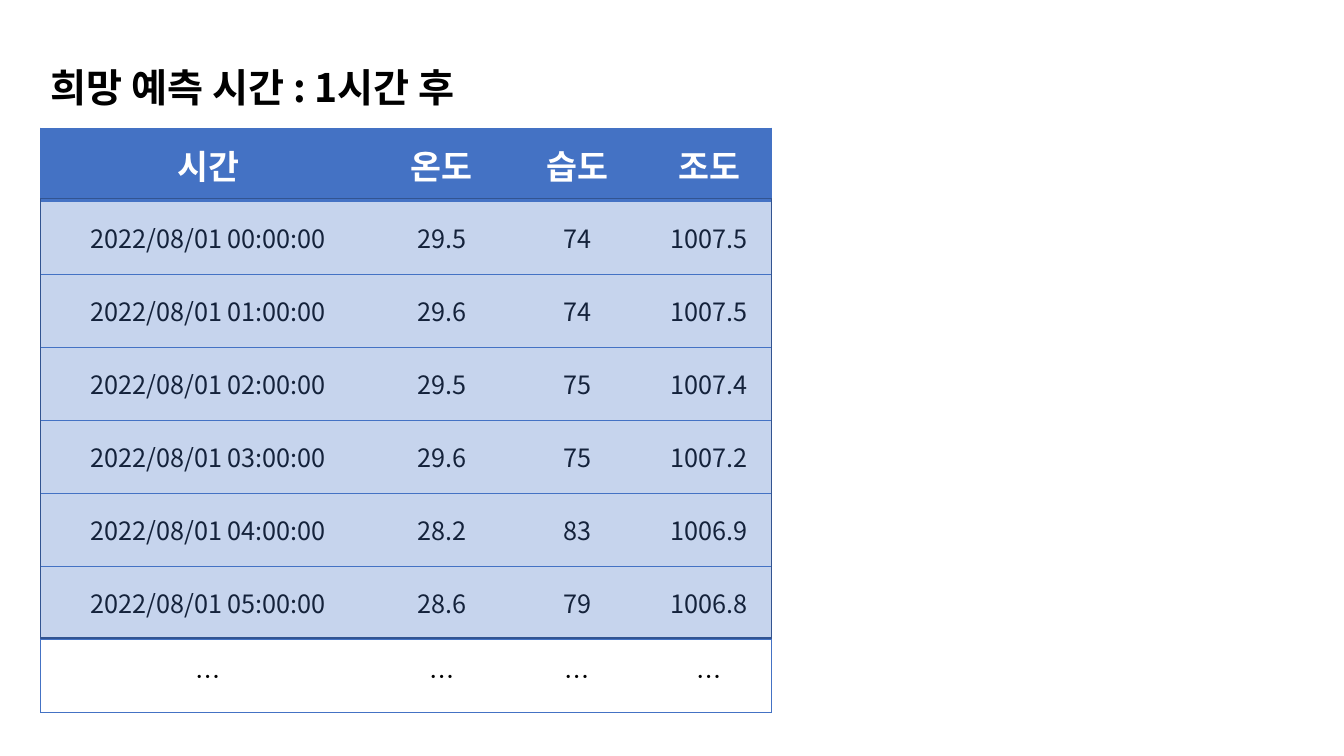
from dataclasses import dataclass

from pptx import Presentation
from pptx.dml.color import RGBColor
from pptx.enum.shapes import MSO_SHAPE
from pptx.enum.text import MSO_ANCHOR, PP_ALIGN
from pptx.oxml.ns import qn
from pptx.util import Pt
from lxml.etree import SubElement

PX = 9144  # 100 px to the inch


@dataclass(frozen=True)
class Theme:
    font: str = "Noto Sans CJK KR"
    blue: str = "4472C4"
    dark_blue: str = "325491"
    black: str = "000000"
    white: str = "FFFFFF"
    title_size: int = 28
    header_size: int = 24
    body_size: int = 18


theme = Theme()


def style_text(frame, size, color, bold, align):
    frame.vertical_anchor = MSO_ANCHOR.MIDDLE
    para = frame.paragraphs[0]
    para.alignment = align
    for span in para.runs:
        font = span.font
        font.name, font.size, font.bold = theme.font, Pt(size), bold
        font.color.rgb = RGBColor.from_string(color)
        SubElement(font._element, qn("a:ea"), typeface=theme.font)


def add_border(cell, side, visible):
    line = SubElement(cell._tc.get_or_add_tcPr(), qn(f"a:ln{side}"), w=str(Pt(0.5)))
    if visible:
        fill = SubElement(line, qn("a:solidFill"))
        SubElement(fill, qn("a:srgbClr"), val=theme.blue)
    else:
        SubElement(line, qn("a:noFill"))


deck = Presentation()
deck.slide_width, deck.slide_height = 1333 * PX, 750 * PX
page = deck.slides.add_slide(deck.slide_layouts[5])

title = page.shapes.title
title.left, title.top, title.width, title.height = 40 * PX, 58 * PX, 476 * PX, 57 * PX
title.text_frame.text = "희망 예측 시간 : 1시간 후"
title.text_frame.word_wrap = True
style_text(title.text_frame, theme.title_size, theme.black, True, PP_ALIGN.LEFT)

readings = [
    ("29.5", "74", "1007.5"),
    ("29.6", "74", "1007.5"),
    ("29.5", "75", "1007.4"),
    ("29.6", "75", "1007.2"),
    ("28.2", "83", "1006.9"),
    ("28.6", "79", "1006.8"),
]
rows = [("시간", "온도", "습도", "조도")]
rows += [(f"2022/08/01 {hour:02}:00:00", *values) for hour, values in enumerate(readings)]
rows.append(("…",) * 4)
column_widths = [333, 130, 139, 123]
last_column = len(column_widths) - 1

table = page.shapes.add_table(
    len(rows), len(column_widths), 40 * PX, 127 * PX, 725 * PX, 580 * PX
).table
table.horz_banding = False
for column, width in zip(table.columns, column_widths):
    column.width = width * PX

for row_index, row in enumerate(rows):
    is_header = row_index == 0
    for column_index, text in enumerate(row):
        cell = table.cell(row_index, column_index)
        cell.text = text
        add_border(cell, "L", column_index == 0)
        add_border(cell, "R", column_index == last_column)
        add_border(cell, "T", True)
        add_border(cell, "B", True)
        if is_header:
            cell.fill.solid()
            cell.fill.fore_color.rgb = RGBColor.from_string(theme.blue)
            style_text(cell.text_frame, theme.header_size, theme.white, True, PP_ALIGN.CENTER)
        else:
            cell.fill.background()
            style_text(cell.text_frame, theme.body_size, theme.black, False, PP_ALIGN.CENTER)
        cell.vertical_anchor = MSO_ANCHOR.MIDDLE

highlight = page.shapes.add_shape(
    MSO_SHAPE.RECTANGLE, 40 * PX, 197 * PX, 725 * PX, 436 * PX
)
highlight.shadow.inherit = False
highlight.fill.solid()
highlight.fill.fore_color.rgb = RGBColor.from_string(theme.blue)
tint = highlight.fill._xPr.find(qn("a:solidFill")).find(qn("a:srgbClr"))
SubElement(tint, qn("a:alpha"), val="30000")
highlight.line.color.rgb = RGBColor.from_string(theme.dark_blue)
highlight.line.width = Pt(1)

deck.save("out.pptx")
